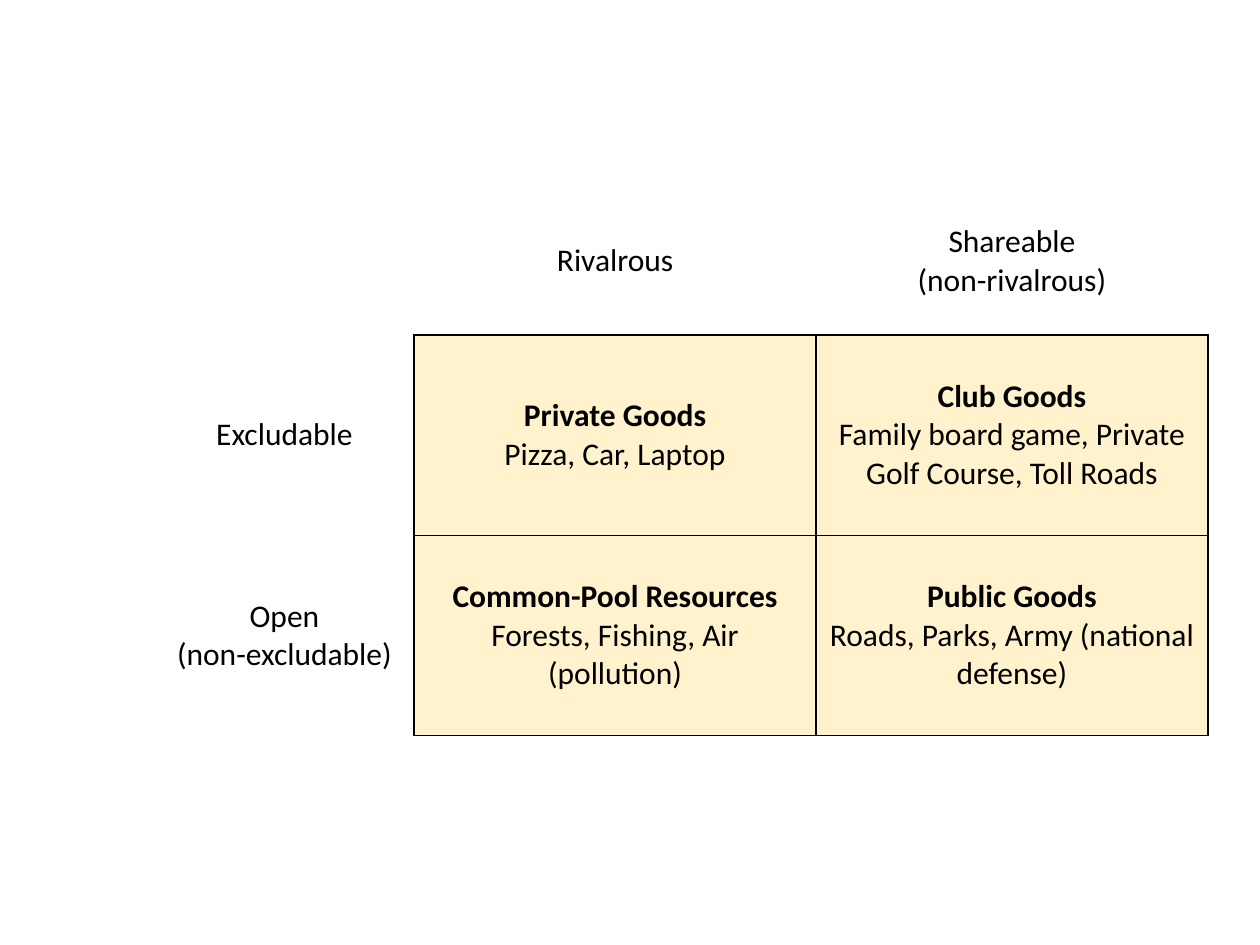
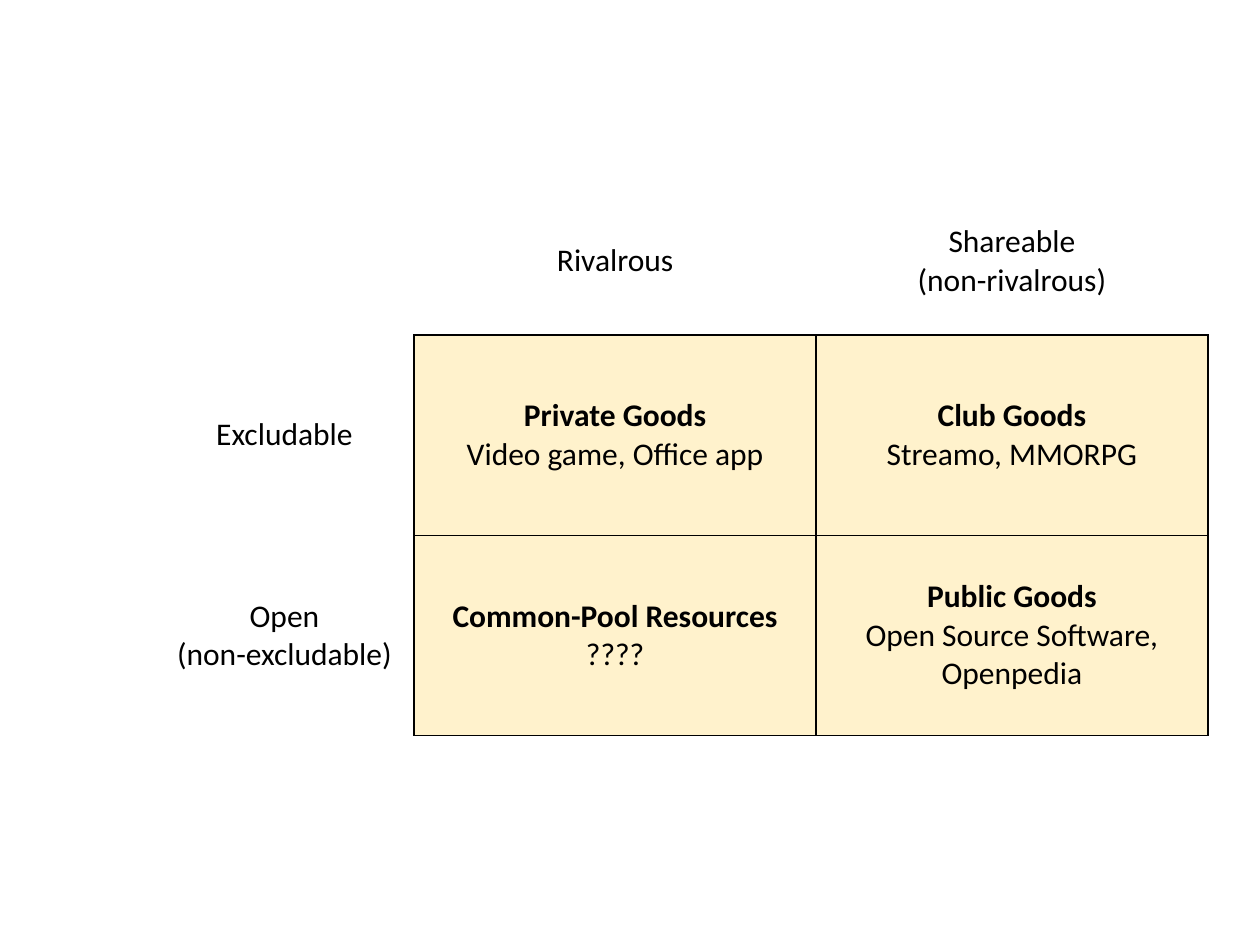
import lxml.etree
import pptx
import pptx.dml.color
import pptx.enum.text
import pptx.oxml
import pptx.oxml.ns
import pptx.util

Cm = pptx.util.Cm
RGBColor = pptx.dml.color.RGBColor

BLACK = RGBColor(0x00, 0x00, 0x00)
WHITE = RGBColor(0xFF, 0xFF, 0xFF)
CREAM = RGBColor(0xFF, 0xF2, 0xCC)

COLUMN_WIDTHS = [Cm(5.23), Cm(8.1), Cm(7.9)]
ROW_HEIGHTS = [Cm(2.97), Cm(4.04), Cm(4.04)]
COLUMN_LABELS = [["Rivalrous"], ["Shareable", "(non-rivalrous)"]]
ROW_LABELS = [["Excludable"], ["Open", "(non-excludable)"]]
GOODS = [["Private Goods", "Club Goods"], ["Common-Pool Resources", "Public Goods"]]

# One grid of examples per slide, in the order of GOODS
EXAMPLES = [
    [
        ["Pizza, Car, Laptop", "Family board game, Private Golf Course, Toll Roads"],
        ["Forests, Fishing, Air (pollution)", "Roads, Parks, Army (national defense)"],
    ],
    [
        ["Video game, Office app", "Streamo, MMORPG"],
        ["????", "Open Source Software, Openpedia"],
    ],
]


def add_border(cell, side, color):
    """Draw one side (L, R, T or B) of a cell; sides must come before the fill."""
    properties = cell._tc.get_or_add_tcPr()
    line = lxml.etree.SubElement(
        properties, pptx.oxml.ns.qn(f"a:ln{side}"), w=str(pptx.util.Pt(1)))
    solid = lxml.etree.SubElement(line, pptx.oxml.ns.qn("a:solidFill"))
    lxml.etree.SubElement(solid, pptx.oxml.ns.qn("a:srgbClr"), val=str(color))


def write_lines(cell, lines, bold_first):
    cell.vertical_anchor = pptx.enum.text.MSO_ANCHOR.MIDDLE
    cell.text = "\n".join(lines)
    for index, para in enumerate(cell.text_frame.paragraphs):
        para.alignment = pptx.enum.text.PP_ALIGN.CENTER
        para.font.name = "Calibri"
        para.font.size = pptx.util.Pt(18)
        para.font.bold = bold_first and index == 0
        para.font.color.rgb = BLACK


deck = pptx.Presentation()
deck.slide_width = Cm(25.4)
deck.slide_height = Cm(19.05)

for examples in EXAMPLES:
    page = deck.slides.add_slide(deck.slide_layouts[6])
    table = page.shapes.add_table(
        3, 3, Cm(3.12), Cm(3.78), sum(COLUMN_WIDTHS), sum(ROW_HEIGHTS)).table
    table.first_row = False
    table.horz_banding = False
    for column, width in zip(table.columns, COLUMN_WIDTHS):
        column.width = width
    for row, height in zip(table.rows, ROW_HEIGHTS):
        row.height = height

    for row in range(3):
        for column in range(3):
            cell = table.cell(row, column)
            is_goods = row > 0 and column > 0

            # Only edges that touch a goods cell are black
            black_edges = {"L": is_goods, "R": row > 0, "T": is_goods, "B": column > 0}
            for side, is_black in black_edges.items():
                add_border(cell, side, BLACK if is_black else WHITE)
            cell.fill.solid()
            cell.fill.fore_color.rgb = CREAM if is_goods else WHITE

            if is_goods:
                lines = [GOODS[row - 1][column - 1], examples[row - 1][column - 1]]
            elif column > 0:
                lines = COLUMN_LABELS[column - 1]
            elif row > 0:
                lines = ROW_LABELS[row - 1]
            else:
                continue
            write_lines(cell, lines, bold_first=is_goods)

deck.save("out.pptx")
